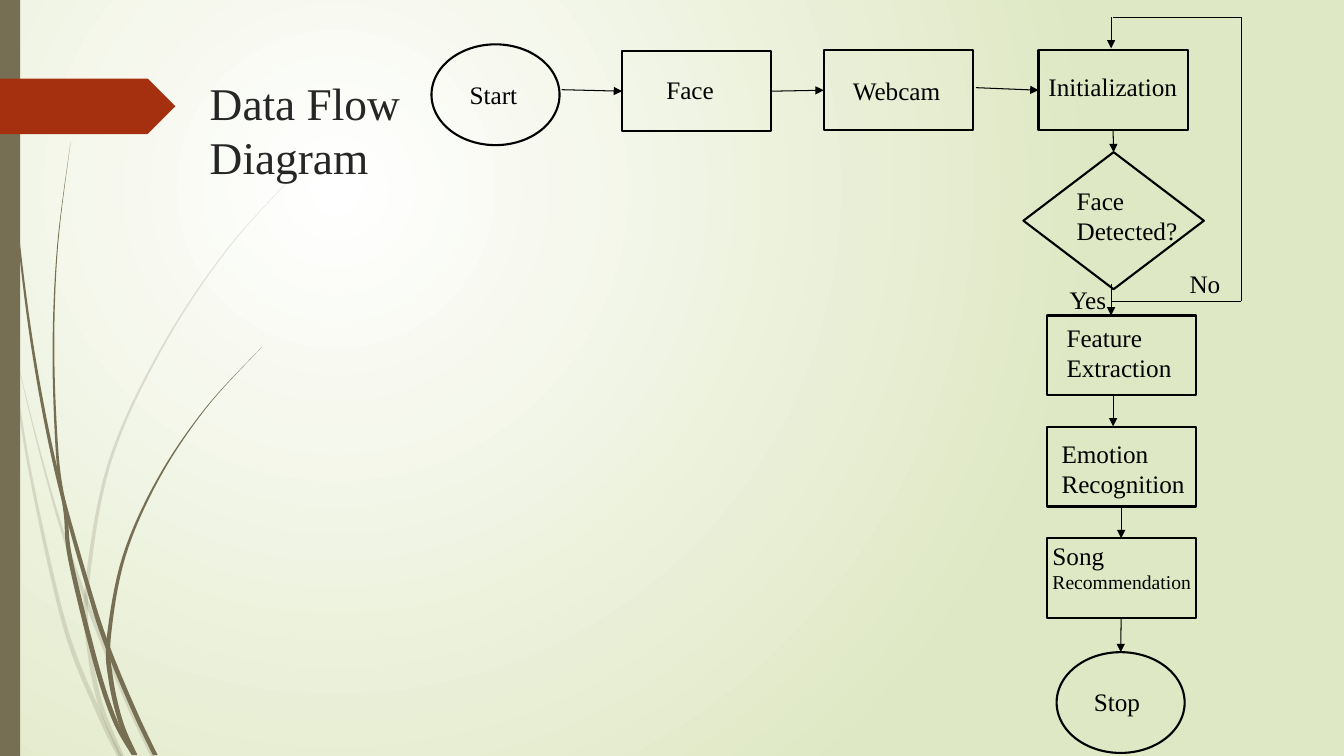
"""Build the data flow diagram slide."""
import pptx
import pptx.util
import pptx.dml.color
import pptx.enum.shapes
import pptx.enum.text
import pptx.oxml
import pptx.oxml.ns

RGB = pptx.dml.color.RGBColor
SHAPE = pptx.enum.shapes.MSO_SHAPE
LINK = pptx.enum.shapes.MSO_CONNECTOR.STRAIGHT
TEXT = pptx.enum.text
NS = pptx.oxml.ns.nsdecls("a")
BLACK = RGB(0, 0, 0)
INK = RGB(0x26, 0x26, 0x26)
WHITE = RGB(0xFF, 0xFF, 0xFF)
LIME = RGB(0xDF, 0xE8, 0xC4)
OLIVE = RGB(0x76, 0x6F, 0x54)
RUST = RGB(0xA5, 0x30, 0x10)
CELL = pptx.util.Inches(0.01)
COLS, ROWS = 1333, 750


def cells(*nums):
    """Turn grid cells into lengths."""
    return [pptx.util.Emu(round(num * CELL)) for num in nums]


def style(run, size, tint):
    """Set the font of a run."""
    look = {"name": "Times New Roman", "size": pptx.util.Pt(size)}
    for key, val in look.items():
        setattr(run.font, key, val)
    run.font.color.rgb = tint


deck = pptx.Presentation()
deck.slide_width, deck.slide_height = cells(COLS, ROWS)
slide = deck.slides.add_slide(deck.slide_layouts[5])
shapes = slide.shapes

back = slide.background.fill
back.gradient()
for stop, tint in zip(back.gradient_stops, (WHITE, LIME)):
    stop.color.rgb = tint
grad = slide.element.find(".//" + pptx.oxml.ns.qn("a:gradFill"))
grad.remove(grad.find(pptx.oxml.ns.qn("a:lin")))
grad.append(pptx.oxml.parse_xml(
    f'<a:path {NS} path="circle">'
    '<a:fillToRect l="50000" t="50000" r="100000" b="100000"/></a:path>'))

PALE = [
    [(0, 290), (11, 350), (30, 469), (64, 620), (97, 705), (119, 751)],
    [(14, 345), (36, 435), (60, 521), (86, 597), (125, 693), (152, 751)],
    [(312, 153), (228, 244), (159, 348), (108, 461), (86, 585), (89, 646),
     (100, 700), (121, 751)],
]
DARK = [
    [(3, 0), (7, 110), (18, 233), (34, 355), (57, 472), (90, 591),
     (108, 645), (134, 707), (154, 749)],
    [(70, 141), (57, 245), (53, 349), (57, 453), (65, 510), (70, 556),
     (95, 658), (114, 715), (133, 749)],
    [(260, 344), (204, 405), (157, 475), (123, 552), (108, 632),
     (110, 674), (120, 717), (134, 749)],
]
STEPS = 8
for stem in PALE + DARK:
    ends = [stem[0]] + stem + [stem[-1]]
    curve = []
    for four in zip(ends, ends[1:], ends[2:], ends[3:]):
        for step in range(STEPS):
            t = step / STEPS
            curve.append([
                b + t * (c - a) / 2 + t * t * (a - 2.5 * b + 2 * c - d / 2)
                + t ** 3 * (3 * b - a - 3 * c + d) / 2
                for a, b, c, d in zip(*four)])
    curve.append(stem[-1])
    wide = [2.4 * min(1, 1.5 * i / len(curve)) for i in range(len(curve))]
    left = [cells(x - w, y) for (x, y), w in zip(curve, wide)]
    right = [cells(x + w, y) for (x, y), w in zip(curve, wide)]
    pen = shapes.build_freeform(*left[0])
    pen.add_line_segments(left[1:] + right[::-1], close=True)
    wisp = pen.convert_to_shape()
    wisp.shadow.inherit = False
    wisp.line.fill.background()
    wisp.fill.solid()
    wisp.fill.fore_color.rgb = OLIVE
    if stem in PALE:
        tone = wisp.fill._xPr.find(".//" + pptx.oxml.ns.qn("a:srgbClr"))
        tone.append(pptx.oxml.parse_xml(f'<a:alpha {NS} val="20000"/>'))

for kind, spot, tint in [(SHAPE.RECTANGLE, (0, 0, 20, ROWS), OLIVE),
                         (SHAPE.PENTAGON, (0, 78, 174, 55), RUST)]:
    band = shapes.add_shape(kind, *cells(*spot))
    band.shadow.inherit = False
    band.line.fill.background()
    band.fill.solid()
    band.fill.fore_color.rgb = tint

title = shapes.title
title.element.getparent().append(title.element)
for key, val in zip(("left", "top", "width", "height"),
                    cells(164, 68, 976, 121)):
    setattr(title, key, val)
frame = title.text_frame
frame.text = "Data Flow\vDiagram"
for key, val in {"margin_left": cells(44)[0], "word_wrap": True,
                 "auto_size": TEXT.MSO_AUTO_SIZE.NONE,
                 "vertical_anchor": TEXT.MSO_ANCHOR.MIDDLE}.items():
    setattr(frame, key, val)
frame.paragraphs[0].alignment = TEXT.PP_ALIGN.LEFT
for run in frame.paragraphs[0].runs:
    style(run, 32.4, INK)

BOX, OVAL = (148, 79), (127, 100)
NODES = {
    "start": (SHAPE.OVAL, 428, 44, OVAL),
    "face": (SHAPE.RECTANGLE, 617, 51, BOX),
    "webcam": (SHAPE.RECTANGLE, 817, 50, BOX),
    "init": (SHAPE.RECTANGLE, 1030, 50, BOX),
    "test": (SHAPE.DIAMOND, 1015, 151, (179, 136)),
    "stop": (SHAPE.OVAL, 1048, 647, OVAL),
}
for i, name in enumerate(("feature", "emotion", "song")):
    NODES[name] = (SHAPE.RECTANGLE, 1038, 313 + 110.5 * i, BOX)
nodes = {}
for name, (kind, x, y, size) in NODES.items():
    node = nodes[name] = shapes.add_shape(kind, *cells(x, y, *size))
    node.shadow.inherit = False
    node.fill.background()
    node.line.color.rgb = BLACK
    node.line.width = pptx.util.Pt(1.5)

LINES = [
    ((557, 89), (617, 91), None, ("face", 1), True),
    ((766, 89), (817, 89), ("face", 3), ("webcam", 1), True),
    ((968, 87), (1030, 85), None, ("init", 1), True),
    ((1104, 129), (1104, 151), ("init", 2), ("test", 0), True),
    ((1102, 282), (1102, 313), None, None, True),
    ((1104, 391), (1104, 423), None, None, True),
    ((1111, 502), (1111, 535), ("emotion", 2), ("song", 0), True),
    ((1111, 612), (1111, 645), ("song", 2), ("stop", 0), True),
    ((1103, 299), (1231, 299), None, None, False),
    ((1231, 17), (1231, 299), None, None, False),
    ((1104, 17), (1231, 17), None, None, False),
    ((1102, 17), (1102, 48), None, None, True),
]
for tail, head, source, goal, arrow in LINES:
    line = shapes.add_connector(LINK, *cells(*tail, *head))
    if source:
        line.begin_connect(nodes[source[0]], source[1])
    if goal:
        line.end_connect(nodes[goal[0]], goal[1])
    line.line.color.rgb = BLACK
    line.line.width = pptx.util.Pt(0.75)
    if arrow:
        line.line._get_or_add_ln().append(
            pptx.oxml.parse_xml(f'<a:tailEnd {NS} type="triangle"/>'))
    line._element.spPr.append(pptx.oxml.parse_xml(f"<a:effectLst {NS}/>"))

LABELS = [
    (456, 74, 121, 40, [("Start", 18)]),
    (651, 69, 121, 40, [("Face", 18)]),
    (836, 70, 115, 40, [("Webcam", 18)]),
    (1030, 66, 155, 40, [("Initialization", 18)]),
    (1058, 179, 163, 71, [("Face Detected?", 18)]),
    (1048, 315, 147, 71, [("Feature Extraction", 18)]),
    (1043, 430, 145, 71, [("Emotion Recognition", 18)]),
    (1034, 531, 163, 64, [("Song ", 18), ("Recommendation", 14)]),
    (1075, 676, 91, 40, [("Stop", 18)]),
    (1051, 277, 60, 40, [("Yes", 18)]),
    (1170, 261, 60, 40, [("No", 18)]),
]
for *spot, words in LABELS:
    frame = shapes.add_textbox(*cells(*spot)).text_frame
    frame.word_wrap = True
    frame.auto_size = TEXT.MSO_AUTO_SIZE.SHAPE_TO_FIT_TEXT
    for word, size in words:
        run = frame.paragraphs[0].add_run()
        run.text = word
        style(run, size, BLACK)

deck.save("out.pptx")
